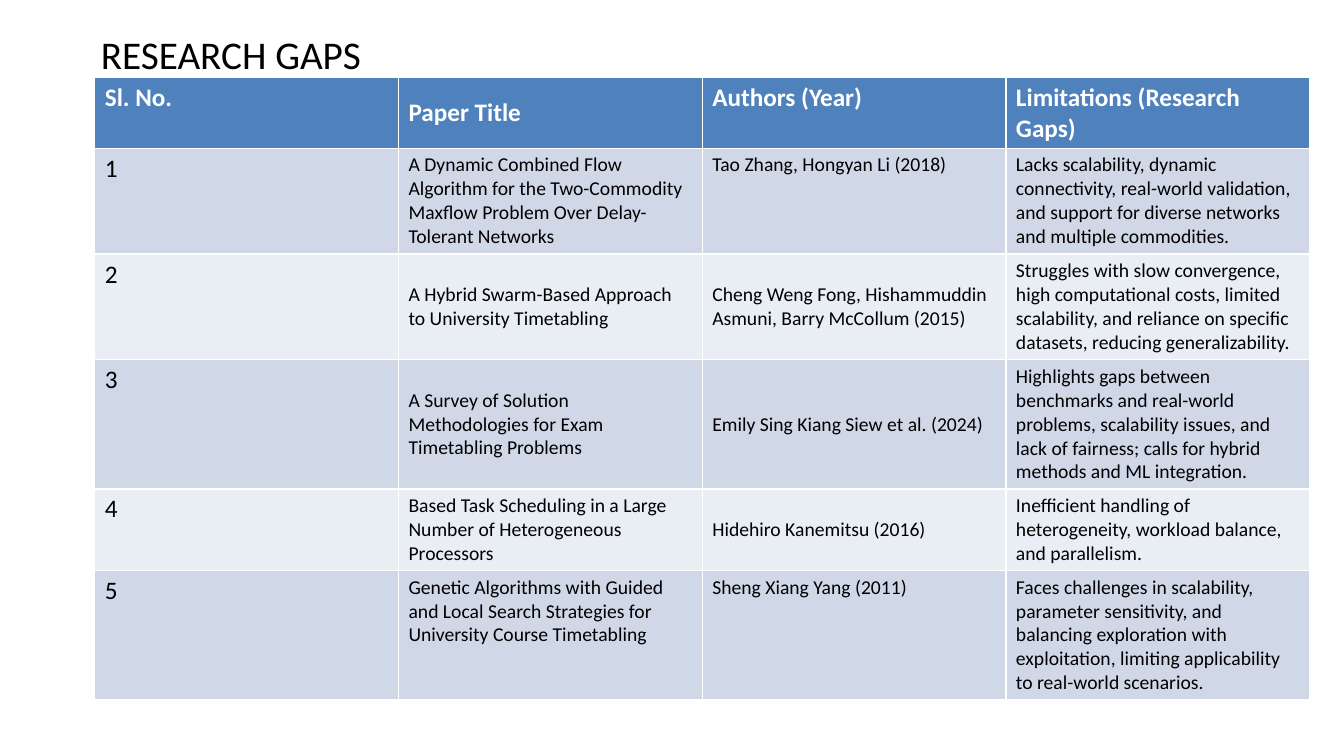
"""Build the research gaps slide: a title above a table of reviewed papers."""
from dataclasses import dataclass

from pptx import Presentation
from pptx.dml.color import RGBColor
from pptx.enum.text import MSO_ANCHOR, MSO_AUTO_SIZE, PP_ALIGN
from pptx.util import Inches, Pt

TOP, MIDDLE = MSO_ANCHOR.TOP, MSO_ANCHOR.MIDDLE
LEFT = PP_ALIGN.LEFT
FIT_SHAPE = MSO_AUTO_SIZE.SHAPE_TO_FIT_TEXT


@dataclass(frozen=True)
class Theme:
    font: str = "Calibri"
    ink: RGBColor = RGBColor(0, 0, 0)
    paper: RGBColor = RGBColor(255, 255, 255)
    header: RGBColor = RGBColor.from_string("4F81BD")
    bands: tuple = (RGBColor.from_string("D0D8E8"), RGBColor.from_string("E9EDF4"))
    title_size: int = 28
    label_size: int = 18
    body_size: int = 14


theme = Theme()


def add_words(frame, words, size, color, bold=False):
    paragraph = frame.paragraphs[0]
    paragraph.alignment = LEFT
    run = paragraph.add_run()
    run.text = words
    run.font.name = theme.font
    run.font.size = Pt(size)
    run.font.bold = bold
    run.font.color.rgb = color


headings = ("Sl. No.", "Paper Title", "Authors (Year)", "Limitations (Research Gaps)")
papers = [
    ("A Dynamic Combined Flow Algorithm for the Two-Commodity Maxflow Problem "
     "Over Delay-Tolerant Networks",
     "Tao Zhang, Hongyan Li (2018)",
     "Lacks scalability, dynamic connectivity, real-world validation, and support "
     "for diverse networks and multiple commodities."),
    ("A Hybrid Swarm-Based Approach to University Timetabling",
     "Cheng Weng Fong, Hishammuddin Asmuni, Barry McCollum (2015)",
     "Struggles with slow convergence, high computational costs, limited scalability, "
     "and reliance on specific datasets, reducing generalizability."),
    ("A Survey of Solution Methodologies for Exam Timetabling Problems",
     "Emily Sing Kiang Siew et al. (2024)",
     "Highlights gaps between benchmarks and real-world problems, scalability issues, "
     "and lack of fairness; calls for hybrid methods and ML integration."),
    ("Based Task Scheduling in a Large Number of Heterogeneous Processors",
     "Hidehiro Kanemitsu (2016)",
     "Inefficient handling of heterogeneity, workload balance, and parallelism."),
    ("Genetic Algorithms with Guided and Local Search Strategies for University "
     "Course Timetabling",
     "Sheng Xiang Yang (2011)",
     "Faces challenges in scalability, parameter sensitivity, and balancing exploration "
     "with exploitation, limiting applicability to real-world scenarios."),
]
rows = [headings] + [(str(number), *paper) for number, paper in enumerate(papers, 1)]
row_heights = (0.7, 1.05, 1.05, 1.28, 0.81, 1.28)
centred_cells = {(0, 1), (2, 1), (2, 2), (2, 3), (3, 1), (3, 2), (4, 1), (4, 2)}

deck = Presentation()
deck.slide_width, deck.slide_height = Inches(13.33), Inches(7.5)
slide = deck.slides.add_slide(deck.slide_layouts[5])

title = slide.shapes.title
title.left, title.top = Inches(1), Inches(0.3)
title.width, title.height = Inches(9.78), Inches(0.47)
heading = title.text_frame
heading.margin_left = heading.margin_right = heading.margin_top = heading.margin_bottom = 0
heading.word_wrap = True
heading.auto_size = FIT_SHAPE
heading.vertical_anchor = TOP
add_words(heading, "RESEARCH GAPS", theme.title_size, theme.ink)

gaps = slide.shapes.add_table(
    len(rows), len(headings), Inches(0.94), Inches(0.77),
    Inches(12.05), Inches(sum(row_heights))).table
gaps.horz_banding = False

for r, (entries, height) in enumerate(zip(rows, row_heights)):
    gaps.rows[r].height = Inches(height)
    is_header = r == 0
    for c, words in enumerate(entries):
        cell = gaps.cell(r, c)
        cell.fill.solid()
        cell.fill.fore_color.rgb = theme.header if is_header else theme.bands[(r - 1) % 2]
        cell.vertical_anchor = MIDDLE if (r, c) in centred_cells else TOP
        size = theme.label_size if is_header or c == 0 else theme.body_size
        add_words(cell.text_frame, words, size,
                  theme.paper if is_header else theme.ink, is_header)

deck.save("out.pptx")
